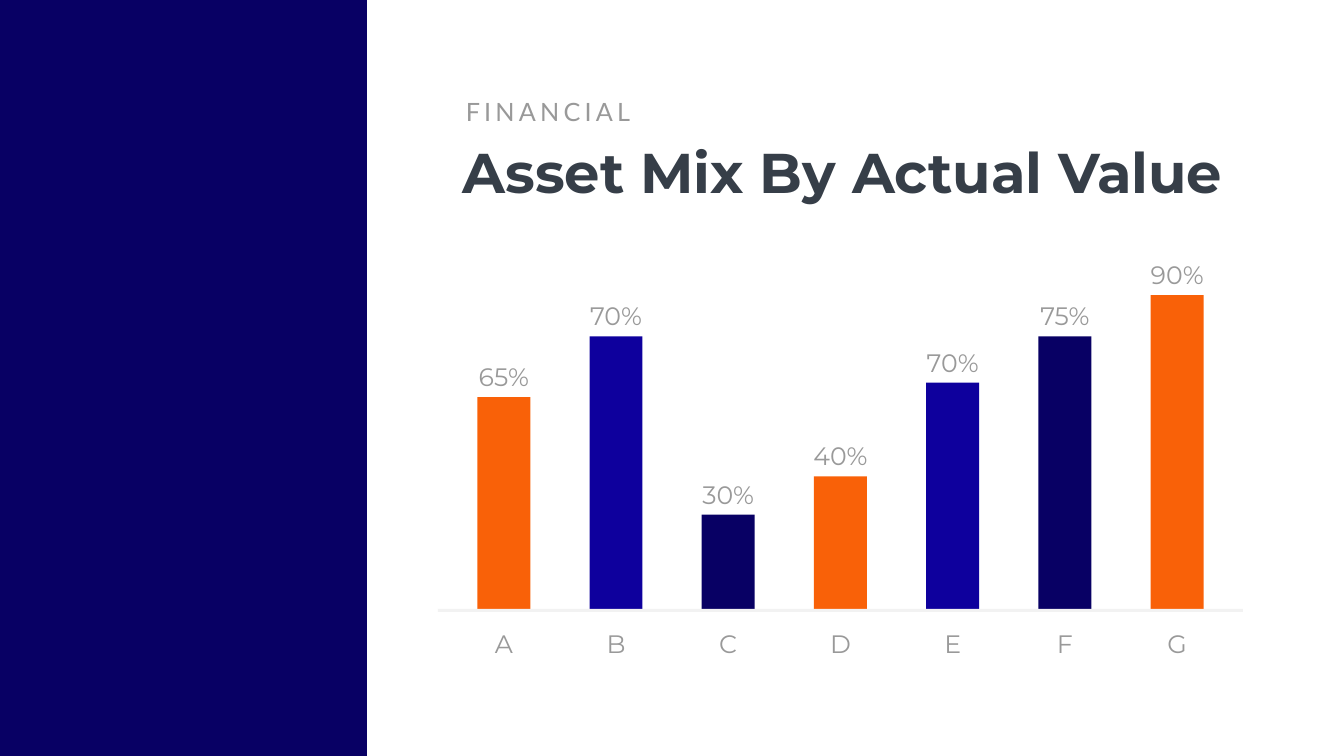
from pptx import Presentation
from pptx.dml.color import RGBColor
from pptx.enum.shapes import MSO_SHAPE
from pptx.enum.text import MSO_ANCHOR, MSO_AUTO_SIZE, PP_ALIGN
from pptx.util import Cm, Pt

ORANGE, BLUE, NAVY = "F96108", "0E009D", "080064"
GREY, DARK, PALE = "999999", "363E48", "F2F2F2"

ASSETS = [
    ("A", "65%", 10.67, ORANGE),
    ("B", "70%", 13.74, BLUE),
    ("C", "30%", 4.75, NAVY),
    ("D", "40%", 6.68, ORANGE),
    ("E", "70%", 11.4, BLUE),
    ("F", "75%", 13.74, NAVY),
    ("G", "90%", 15.82, ORANGE),
]
SLIDE_W, SLIDE_H = 67.72, 38.1
FIRST_BAR, LAST_BAR, BAR_W = 24.05, 57.98, 2.67
BAR_PITCH = (LAST_BAR - FIRST_BAR) / (len(ASSETS) - 1)
BASELINE = 30.69
VALUE_W, LABEL_H, VALUE_RISE = 4.5, 1.83, 1.93
CATEGORY_TOP = 31.56


def rgb(value):
    return RGBColor.from_string(value)


def add_block(left, top, width, height, color):
    block = slide.shapes.add_shape(
        MSO_SHAPE.RECTANGLE, Cm(left), Cm(top), Cm(width), Cm(height))
    block.shadow.inherit = False
    block.fill.solid()
    block.fill.fore_color.rgb = rgb(color)
    block.line.fill.background()


def write(shape, text, size=36, font="Montserrat", color=GREY, bold=False,
          align=PP_ALIGN.CENTER):
    frame = shape.text_frame
    frame.word_wrap = True
    frame.auto_size = MSO_AUTO_SIZE.SHAPE_TO_FIT_TEXT
    frame.vertical_anchor = MSO_ANCHOR.TOP
    paragraph = frame.paragraphs[0]
    paragraph.alignment = align
    paragraph.line_spacing = 1.0
    paragraph.space_before = Pt(0)
    run = paragraph.add_run()
    run.text = text
    run.font.size = Pt(size)
    run.font.name = font
    run.font.bold = bold
    run.font.color.rgb = rgb(color)
    return run


def add_text(text, left, top, width, height, **style):
    box = slide.shapes.add_textbox(Cm(left), Cm(top), Cm(width), Cm(height))
    return write(box, text, **style)


prs = Presentation()
prs.slide_width, prs.slide_height = Cm(SLIDE_W), Cm(SLIDE_H)
slide = prs.slides.add_slide(prs.slide_layouts[5])

add_block(0, 0, 18.49, SLIDE_H, NAVY)

title = slide.shapes.title
title.left, title.top = Cm(23.06), Cm(6.78)
title.width, title.height = Cm(38.89), Cm(3.68)
write(title, "Asset Mix By Actual Value", size=80, color=DARK, bold=True,
      align=PP_ALIGN.LEFT)

section = add_text("FINANCIAL", 23.22, 4.72, 9.35, 1.8, font="Lato",
                   align=PP_ALIGN.LEFT)
section.font._element.set("spc", "600")

for index, (category, value, height, color) in enumerate(ASSETS):
    left = FIRST_BAR + index * BAR_PITCH
    top = BASELINE - height
    add_block(left, top, BAR_W, height, color)
    add_text(category, left, CATEGORY_TOP, BAR_W, LABEL_H)
    add_text(value, left - (VALUE_W - BAR_W) / 2, top - VALUE_RISE,
             VALUE_W, LABEL_H)

add_block(22.07, BASELINE, 40.56, 0.15, PALE)

prs.save("out.pptx")
